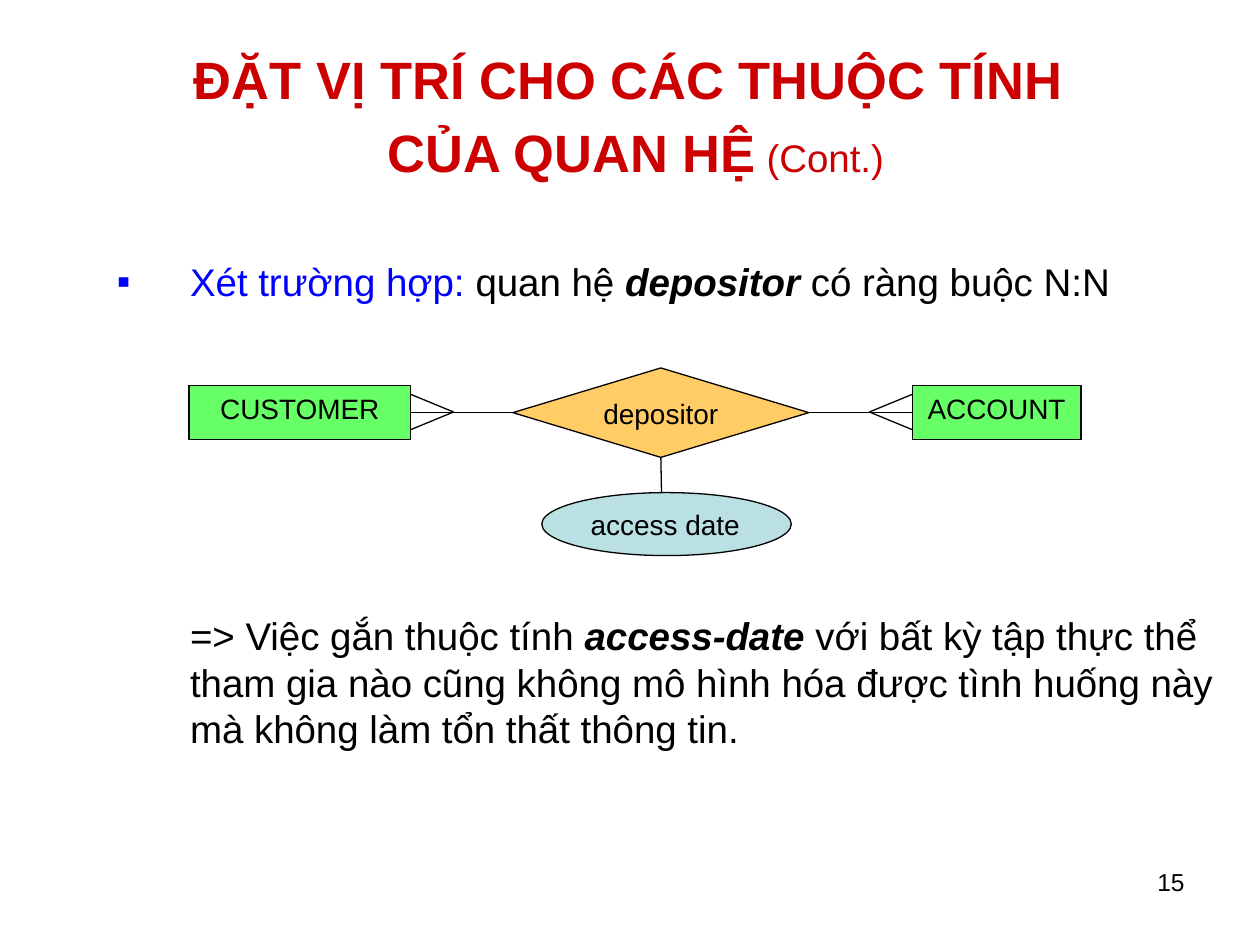
from lxml.etree import SubElement
from pptx import Presentation
from pptx.dml.color import RGBColor
from pptx.enum.shapes import MSO_CONNECTOR as Connector, MSO_SHAPE as Shape
from pptx.enum.text import MSO_ANCHOR as Anchor, PP_ALIGN as Align
from pptx.oxml.ns import qn
from pptx.util import Inches, Pt

COLORS = {
    "title": "CC0000",
    "accent": "0000FF",
    "ink": "000000",
    "entity": "66FF66",
    "relation": "FFCC66",
    "attribute": "BBE0E3",
}
FONT = "Arial"
AXIS_Y = 3.27
FOOT_LENGTH = 0.34
FOOT_SPREAD = 0.14


def color(name):
    return RGBColor.from_string(COLORS[name])


def add_span(para, text, size, ink="ink", bold=False, italic=False):
    span = para.add_run()
    span.text = text
    font = span.font
    font.name, font.size = FONT, Pt(size)
    font.bold, font.italic = bold, italic
    font.color.rgb = color(ink)


def add_text_box(page, left, top, width, height, anchor=Anchor.TOP):
    box = page.shapes.add_textbox(*map(Inches, (left, top, width, height)))
    frame = box.text_frame
    frame.word_wrap = True
    frame.vertical_anchor = anchor
    return frame


def add_node(page, kind, left, top, width, height, fill, label, align=Align.CENTER):
    node = page.shapes.add_shape(kind, *map(Inches, (left, top, width, height)))
    node.shadow.inherit = False
    node.fill.solid()
    node.fill.fore_color.rgb = color(fill)
    node.line.color.rgb = color("ink")
    node.line.width = Pt(0.75)
    frame = node.text_frame
    frame.word_wrap = True
    frame.vertical_anchor = Anchor.TOP
    para = frame.paragraphs[0]
    para.alignment = align
    add_span(para, label, 16)
    return node


def add_line(page, x1, y1, x2, y2):
    line = page.shapes.add_connector(
        Connector.STRAIGHT, *map(Inches, (x1, y1, x2, y2)))
    line.line.color.rgb = color("ink")
    line.line.width = Pt(0.75)
    SubElement(line._element.spPr, qn("a:effectLst"))
    return line


def add_crow_foot(page, edge, tip):
    for offset in (-FOOT_SPREAD, FOOT_SPREAD):
        add_line(page, tip, AXIS_Y, edge, AXIS_Y + offset)


def set_indent(para, left, first, bullet=None):
    props = para._p.get_or_add_pPr()
    props.set("marL", str(Inches(left)))
    props.set("indent", str(Inches(first)))
    if bullet:
        tint = SubElement(props, qn("a:buClr"))
        SubElement(tint, qn("a:srgbClr")).set("val", COLORS["accent"])
        SubElement(props, qn("a:buFont")).set("typeface", FONT)
        SubElement(props, qn("a:buChar")).set("char", bullet)


def add_title(page):
    para = add_text_box(page, 0.17, 0.25, 9.75, 1.25, Anchor.MIDDLE).paragraphs[0]
    para.alignment = Align.CENTER
    para.line_spacing = 1.15
    add_span(para, "ĐẶT VỊ TRÍ CHO CÁC THUỘC TÍNH ", 30, "title", bold=True)
    para.add_line_break()
    add_span(para, "CỦA QUAN HỆ", 30, "title", bold=True)
    add_span(para, " ", 22, "title", bold=True)
    add_span(para, "(Cont.)", 22, "title")


def add_body(page):
    frame = add_text_box(page, 0.33, 2, 9.42, 5.42)
    case = frame.paragraphs[0]
    set_indent(case, 1.08, -0.58, "▪")
    add_span(case, "Xét trường hợp:", 22, "accent")
    add_span(case, " quan hệ ", 22)
    add_span(case, "depositor", 22, bold=True, italic=True)
    add_span(case, " có ràng buộc N:N", 22)

    conclusion = frame.add_paragraph()
    set_indent(conclusion, 1.08, 0)
    conclusion.space_before = Pt(176)
    add_span(conclusion, "=> Việc gắn thuộc tính ", 22)
    add_span(conclusion, "access-date ", 22, bold=True, italic=True)
    add_span(conclusion, "với bất kỳ tập thực thể tham gia nào cũng không mô hình hóa "
             "được tình huống này mà không làm tổn thất thông tin.", 22)


def add_diagram(page):
    customer = add_node(page, Shape.RECTANGLE, 1.5, 3.06, 1.76, 0.43, "entity", "CUSTOMER")
    account = add_node(page, Shape.RECTANGLE, 7.24, 3.06, 1.34, 0.43, "entity", "ACCOUNT")
    add_node(page, Shape.OVAL, 4.3, 3.91, 1.98, 0.5, "attribute", "access date", Align.LEFT)
    depositor = add_node(page, Shape.DIAMOND, 4.07, 2.92, 2.35, 0.71, "relation", "depositor")

    customer_link = add_line(page, 3.26, AXIS_Y, 4.07, AXIS_Y)
    customer_link.begin_connect(customer, 3)
    customer_link.end_connect(depositor, 1)
    account_link = add_line(page, 6.42, AXIS_Y, 7.24, AXIS_Y)
    account_link.begin_connect(depositor, 3)
    account_link.end_connect(account, 1)
    date_link = add_line(page, 5.25, 3.63, 5.25, 3.91)
    date_link.begin_connect(depositor, 2)

    add_crow_foot(page, 3.26, 3.26 + FOOT_LENGTH)
    add_crow_foot(page, 7.24, 7.24 - FOOT_LENGTH)


def add_page_number(page):
    para = add_text_box(page, 7.17, 6.83, 2.33, 0.52).paragraphs[0]
    para.alignment = Align.RIGHT
    add_span(para, "15", 14)


def main():
    deck = Presentation()
    deck.slide_width, deck.slide_height = Inches(10), Inches(7.5)
    page = deck.slides.add_slide(deck.slide_layouts[6])
    add_title(page)
    add_body(page)
    add_diagram(page)
    add_page_number(page)
    deck.save("out.pptx")


if __name__ == "__main__":
    main()
